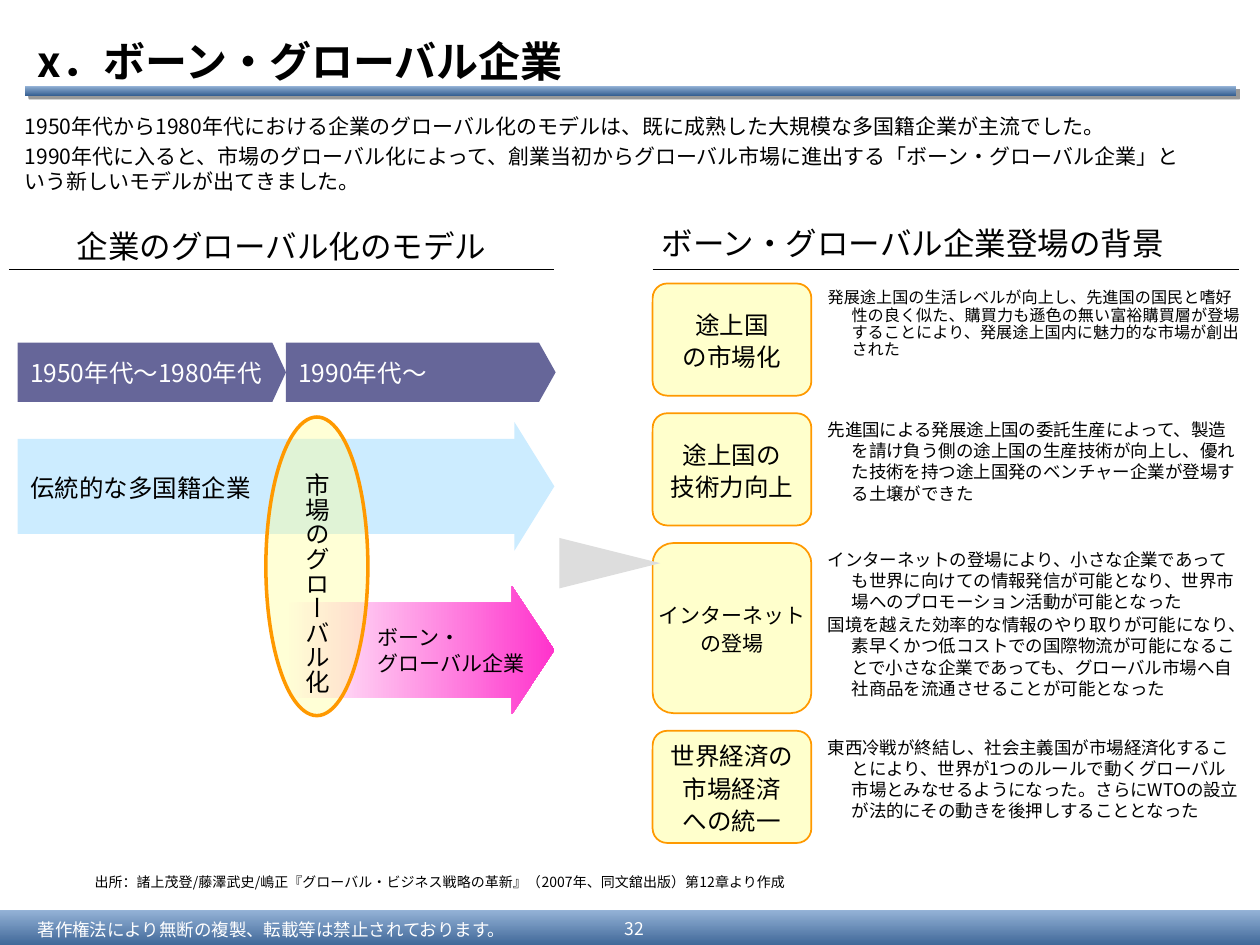
from copy import deepcopy
from lxml import etree
from pptx import Presentation
from pptx.dml.color import RGBColor
from pptx.enum import shapes, text
from pptx.oxml import ns, parse_xml
from pptx.util import Inches, Pt

FONT = "Noto Sans CJK JP"
BLACK = RGBColor(0, 0, 0)
WHITE = RGBColor(255, 255, 255)
NAVY = RGBColor(0x37, 0x60, 0x92)
SKY = RGBColor(0x95, 0xB3, 0xD7)
PERIOD = RGBColor(0x66, 0x66, 0x99)
PALE_BLUE = RGBColor(0xCC, 0xEC, 0xFF)
PINK = RGBColor(0xFF, 0x33, 0xCC)
YELLOW = RGBColor(0xFF, 0xFF, 0x99)
CREAM = RGBColor(0xFF, 0xFF, 0xCC)
ORANGE = RGBColor(0xFF, 0x99, 0)
GRAY = RGBColor(0xDD, 0xDD, 0xDD)

SHAPE = shapes.MSO_SHAPE
LEFT, CENTER = text.PP_ALIGN.LEFT, text.PP_ALIGN.CENTER
TOP, MIDDLE, BOTTOM = (text.MSO_ANCHOR.TOP, text.MSO_ANCHOR.MIDDLE,
                       text.MSO_ANCHOR.BOTTOM)

BOX_LEFT, BOX_WIDTH, BOX_GAP = 5.18, 1.26, 0.14
BACKGROUNDS = [
    (0.89, "途上国\nの市場化", 14, 0.73, 9.2, 0.9,
     ["発展途上国の生活レベルが向上し、先進国の国民と嗜好性の良く似た、購買力も遜色の無い富裕購買層が登場することにより、発展途上国内に魅力的な市場が創出された"]),
    (0.89, "途上国の\n技術力向上", 14, 0.87, 10, 1.0,
     ["先進国による発展途上国の委託生産によって、製造を請け負う側の途上国の生産技術が向上し、優れた技術を持つ途上国発のベンチャー企業が登場する土壌ができた"]),
    (1.35, "インターネット\nの登場", 12, 1.32, 10, 1.0,
     ["インターネットの登場により、小さな企業であっても世界に向けての情報発信が可能となり、世界市場へのプロモーション活動が可能となった",
      "国境を越えた効率的な情報のやり取りが可能になり、素早くかつ低コストでの国際物流が可能になることで小さな企業であっても、グローバル市場へ自社商品を流通させることが可能となった"]),
    (0.89, "世界経済の\n市場経済\nへの統一", 14, 1.18, 10, 1.0,
     ["東西冷戦が終結し、社会主義国が市場経済化することにより、世界が1つのルールで動くグローバル市場とみなせるようになった。さらにWTOの設立が法的にその動きを後押しすることとなった"]),
]


def set_attrs(obj, values):
    for name, value in values.items():
        setattr(obj, name, value)


def style_runs(p, size, color, bold):
    for r in p.runs:
        set_attrs(r.font, {"size": Pt(size), "name": FONT, "bold": bold})
        r.font.color.rgb = color
        etree.SubElement(r.font._element, ns.qn("a:ea"), typeface=FONT)
    for br in p._p.findall(ns.qn("a:br")):
        br.append(deepcopy(p.runs[0].font._element))


def write(sp, lines, size, color=BLACK, bold=False, align=LEFT, anchor=MIDDLE,
          ins=(0.1, 0.05, 0.1, 0.05), wrap=True, spacing=None, before=0,
          after=0, hang=0):
    tf = sp.text_frame
    margins = ("margin_left", "margin_top", "margin_right", "margin_bottom")
    set_attrs(tf, dict(zip(margins, map(Inches, ins))))
    set_attrs(tf, {"word_wrap": wrap, "vertical_anchor": anchor,
                   "auto_size": text.MSO_AUTO_SIZE.NONE})
    for i, line in enumerate(lines):
        p = tf.add_paragraph() if i else tf.paragraphs[0]
        p.text = line
        set_attrs(p, {"alignment": align, "space_after": Pt(after),
                      "space_before": Pt(before if i else 0)})
        if spacing:
            p.line_spacing = spacing
        if hang:
            pPr = p._p.get_or_add_pPr()
            pPr.set("marL", str(Inches(hang)))
            pPr.set("indent", str(-Inches(hang)))
        style_runs(p, size, color, bold)


def add_text(s, at, lines, size, **fmt):
    write(s.shapes.add_textbox(*map(Inches, at)), lines, size, **fmt)


def add_shape(s, kind, at, fill, line=None, width=1, adj=()):
    sp = s.shapes.add_shape(kind, *map(Inches, at))
    sp.shadow.inherit = False
    if isinstance(fill, RGBColor):
        sp.fill.solid()
        sp.fill.fore_color.rgb = fill
    else:
        start, end, angle = fill
        sp.fill.gradient()
        sp.fill.gradient_angle = angle
        for stop, color in zip(sp.fill.gradient_stops, (start, end)):
            stop.color.rgb = color
    if line is None:
        sp.line.fill.background()
    else:
        sp.line.color.rgb = line
        sp.line.width = Pt(width)
    for i, value in enumerate(adj):
        sp.adjustments[i] = value
    return sp


def add_rule(s, x1, x2, y):
    c = s.shapes.add_connector(shapes.MSO_CONNECTOR.STRAIGHT,
                               *map(Inches, (x1, y, x2, y)))
    c.line.color.rgb = BLACK
    c.line.width = Pt(1)
    etree.SubElement(c._element.spPr, ns.qn("a:effectLst"))


def add_shadow(sp):
    effects = sp._element.spPr.find(ns.qn("a:effectLst"))
    effects.append(parse_xml(
        f'<a:outerShdw {ns.nsdecls("a")} blurRad="0" dist="{Pt(3)}" dir="2700000">'
        '<a:srgbClr val="000000"><a:alpha val="40000"/></a:srgbClr></a:outerShdw>'))


def add_frame(s):
    bar = (NAVY, SKY, 90)
    add_shape(s, SHAPE.RECTANGLE, (0, 7.22, 10, 0.31), bar)
    add_shadow(add_shape(s, SHAPE.RECTANGLE, (0.2, 0.68, 9.61, 0.08), bar))
    ins = (0.1, 0.04, 0.1, 0.04)
    add_text(s, (0.2, 7.25, 4.25, 0.25),
             ["著作権法により無断の複製、転載等は禁止されております。"],
             10, color=WHITE, ins=ins)
    add_text(s, (4.76, 7.23, 0.55, 0.28), ["32"], 10, color=WHITE,
             align=CENTER, ins=ins)


def add_heading(s, at, label, align, x1, x2):
    add_rule(s, x1, x2, 2.14)
    add_text(s, at, [label], 18, align=align, anchor=BOTTOM,
             ins=(0.02, 0.01, 0.02, 0.01))


def add_model(s):
    add_heading(s, (-0.04, 1.79, 4.55, 0.32), "企業のグローバル化のモデル",
                CENTER, 0.07, 4.4)
    for left, width, adj, label in ((0.14, 2.13, 0.23, "1950年代～1980年代"),
                                    (2.27, 2.14, 0.28, "1990年代～")):
        sp = add_shape(s, SHAPE.PENTAGON, (left, 2.72, width, 0.47), PERIOD,
                       adj=(adj,))
        write(sp, [label], 14, color=WHITE, wrap=False)
    sp = add_shape(s, SHAPE.RIGHT_ARROW, (0.14, 3.35, 4.26, 1.02), PALE_BLUE,
                   adj=(0.74, 0.31))
    write(sp, ["伝統的な多国籍企業"], 14, wrap=False, spacing=1.1)
    sp = add_shape(s, SHAPE.RIGHT_ARROW, (2.27, 4.65, 2.13, 1.02),
                   (WHITE, PINK, 0), adj=(0.74, 0.33))
    write(sp, ["ボーン・\nグローバル企業"], 12, wrap=False,
          ins=(0.73, 0.05, 0.1, 0.05))
    sp = add_shape(s, SHAPE.OVAL, (2.11, 3.31, 0.81, 2.37), YELLOW, ORANGE, 2)
    clr = sp._element.spPr.find(ns.qn("a:solidFill"))[0]
    etree.SubElement(clr, ns.qn("a:alpha"), val="40000")
    write(sp, ["市場のグローバル化"], 14, wrap=False, ins=(0.05, 0.1, 0.05, 0.1))
    sp.text_frame._txBody.bodyPr.set("vert", "eaVert")


def add_backgrounds(s):
    add_heading(s, (5.23, 1.77, 4.55, 0.32), "ボーン・グローバル企業登場の背景",
                LEFT, BOX_LEFT, 9.83)
    top = 2.25
    for height, label, size, note_height, note_size, spacing, notes in BACKGROUNDS:
        sp = add_shape(s, SHAPE.ROUNDED_RECTANGLE,
                       (BOX_LEFT, top, BOX_WIDTH, height), CREAM, ORANGE,
                       adj=(0.13,))
        write(sp, [label], size, align=CENTER, wrap=False, spacing=1.1)
        add_text(s, (6.47, top, 3.49, note_height), notes, note_size,
                 anchor=TOP, spacing=spacing, after=1.2, hang=0.19)
        top += height + BOX_GAP


def main():
    prs = Presentation()
    set_attrs(prs, {"slide_width": Inches(10), "slide_height": Inches(7.5)})
    s = prs.slides.add_slide(prs.slide_layouts[5])
    add_frame(s)
    title = s.shapes.title
    set_attrs(title, {"left": Inches(0.2), "top": Inches(0.21),
                      "width": Inches(9.8), "height": Inches(0.54)})
    write(title, ["x．ボーン・グローバル企業"], 24, bold=True)
    add_text(s, (0.1, 0.85, 9.9, 0.93), [
        "1950年代から1980年代における企業のグローバル化のモデルは、既に成熟した大規模な多国籍企業が主流でした。",
        "1990年代に入ると、市場のグローバル化によって、創業当初からグローバル市場に進出する「ボーン・グローバル企業」と\nいう新しいモデルが出てきました。",
    ], 12, anchor=TOP, before=3)
    add_text(s, (0.75, 6.9, 5.75, 0.22), [
        "出所：諸上茂登/藤澤武史/嶋正『グローバル・ビジネス戦略の革新』（2007年、同文舘出版）第12章より作成",
    ], 8, ins=(0, 0.05, 0, 0.05), spacing=0.9, after=1, hang=0.16)
    add_model(s)
    add_backgrounds(s)
    sp = add_shape(s, SHAPE.ISOSCELES_TRIANGLE, (4.64, 4.07, 0.4, 0.8), GRAY)
    sp.rotation = 90
    prs.save("out.pptx")


if __name__ == "__main__":
    main()
